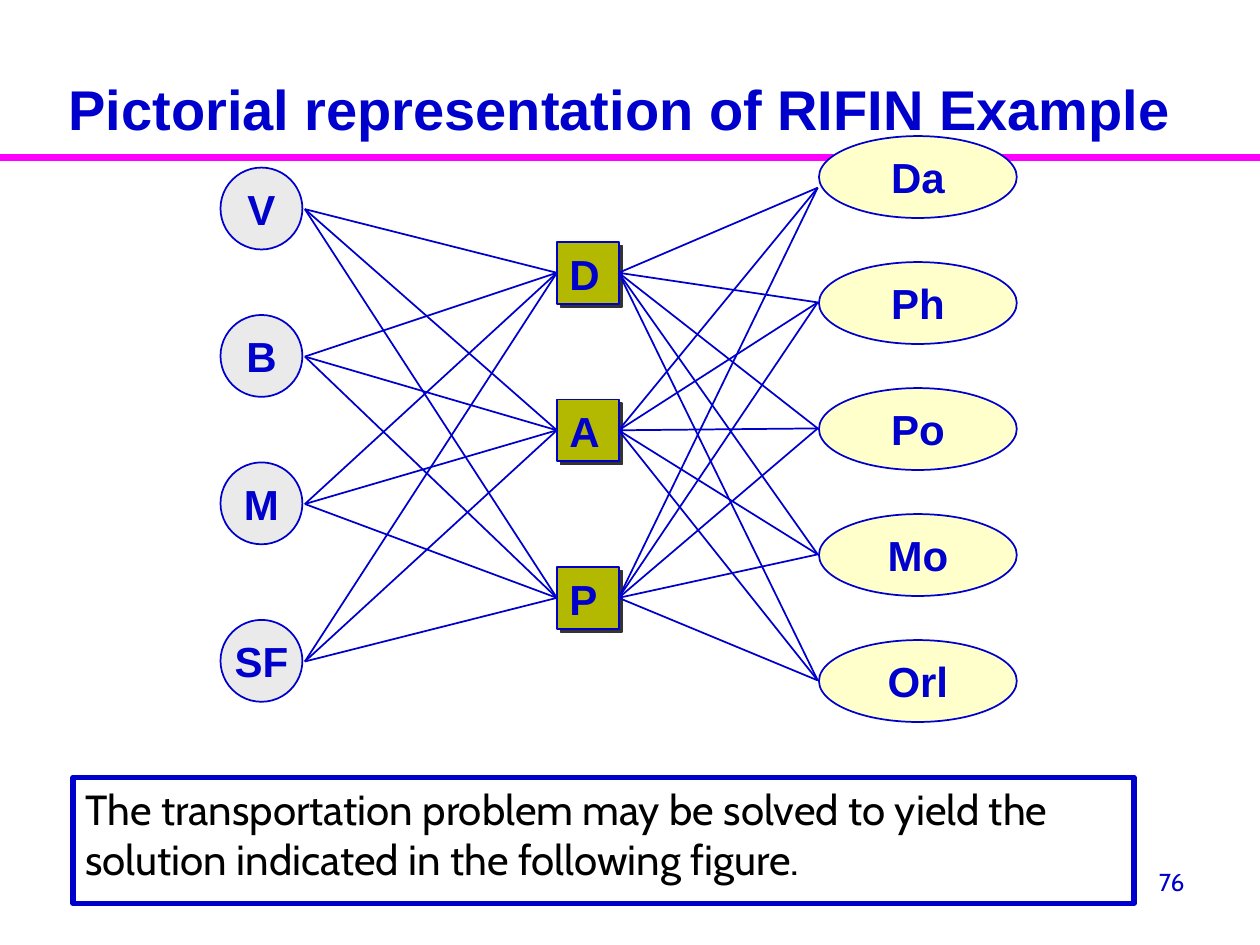
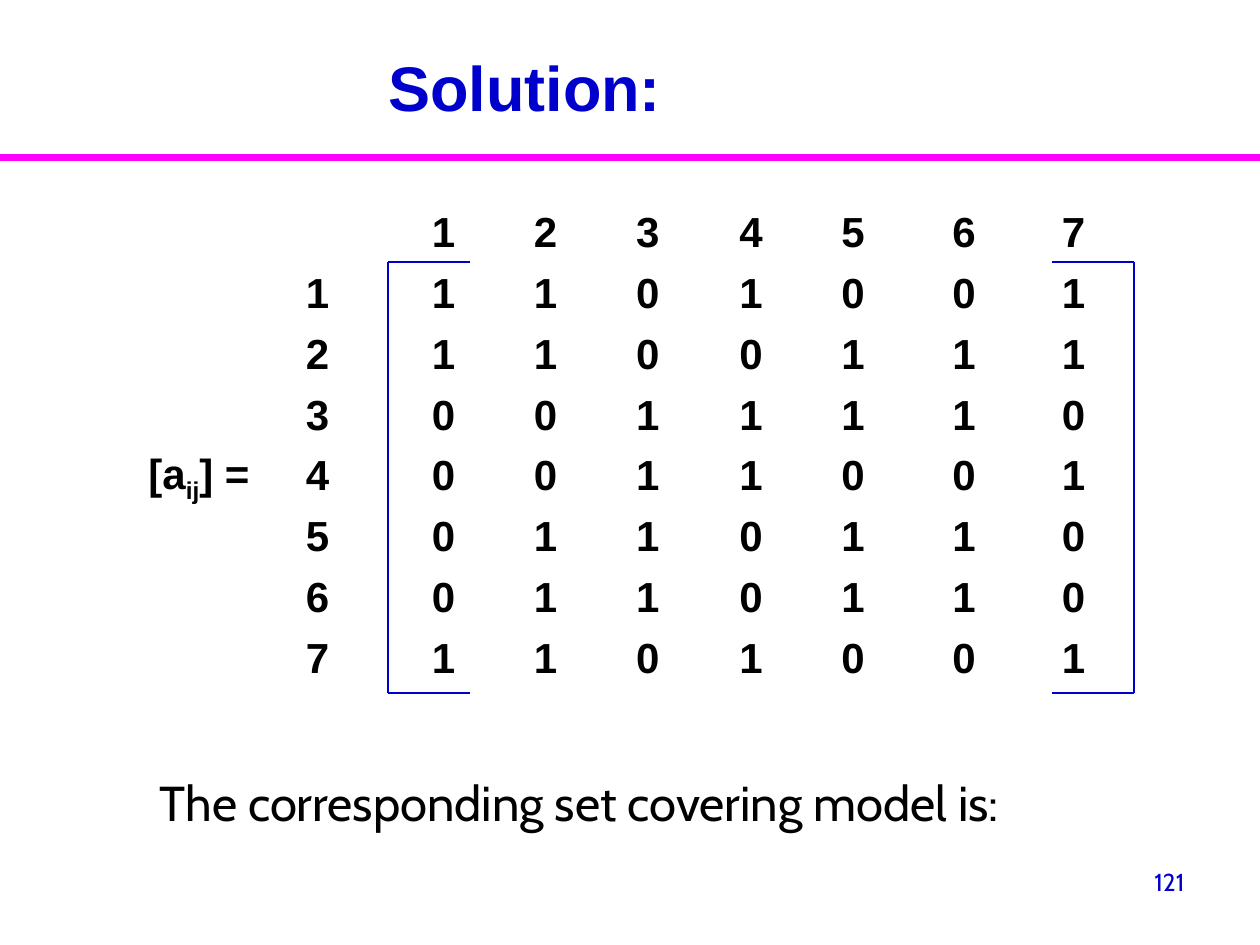
"""Builds two slides: a transportation network and a set covering matrix."""
from lxml.etree import SubElement
from pptx import Presentation
from pptx.dml.color import RGBColor
from pptx.enum.shapes import MSO_CONNECTOR, MSO_SHAPE
from pptx.enum.text import MSO_ANCHOR, PP_ALIGN
from pptx.oxml.ns import qn
from pptx.util import Inches, Pt

BLUE, MAGENTA, BLACK = "0000CC", "FF00FF", "000000"
GREY, OLIVE, CREAM, SHADOW = "EAEAEA", "B3B900", "FFFFCC", "333333"
LABEL = dict(name="Arial", size=24, bold=True, color=BLUE)
ENTRY = dict(LABEL, color=BLACK)
BODY = dict(name="Cabin", size=24, bold=False, color=BLACK)
NUMBER = dict(BODY, size=14, color=BLUE)

PLANTS = [("V", 1.33), ("B", 2.5), ("M", 3.67), ("SF", 4.92)]
DEPOTS = [("D", 1.92), ("A", 3.17), ("P", 4.5)]
MARKETS = [("Da", 1.49), ("Ph", 2.4), ("Po", 3.4), ("Mo", 4.4), ("Orl", 5.4)]
PLANT_LEFT, DEPOT_LEFT, MARKET_LEFT = 1.75, 4.42, 6.5
PLANT_SIZE, DEPOT_SIZE, MARKET_WIDTH = 0.65, 0.49, 1.57
MARKET_TOP, MARKET_STEP = 1.08, 1
NETWORK_NOTE = ("The transportation problem may be solved to yield the "
                "solution indicated in the following figure.")

COVERAGE = ["1101001", "1100111", "0011110", "0011001",
            "0110110", "0110110", "1101001"]
COLUMN_STOPS = [1, 1.81, 2.62, 3.44, 4.25, 5.13, 6]
BRACKET_TOP, BRACKET_BOTTOM, BRACKET_ARM = 2.08, 5.5, 0.65
BRACKETS = [(3.08, 1), (9, -1)]


def rgb(code):
    return RGBColor.from_string(code)


def add_span(para, text, style, baseline=0):
    span = para.add_run()
    span.text = text
    for key, value in style.items():
        if key == "color":
            span.font.color.rgb = rgb(value)
        else:
            setattr(span.font, key, Pt(value) if key == "size" else value)
    if baseline:
        span._r.get_or_add_rPr().set("baseline", str(baseline * 1000))


def write(shape, text, style, align=PP_ALIGN.LEFT, anchor=MSO_ANCHOR.TOP, wrap=True):
    frame = shape.text_frame
    frame.word_wrap = wrap
    frame.vertical_anchor = anchor
    para = frame.paragraphs[0]
    para.alignment = align
    add_span(para, text, style)
    return shape


def add_text(page, at, text, style, **layout):
    box = page.shapes.add_textbox(*map(Inches, at))
    return write(box, text, style, **layout)


def add_node(page, kind, at, fill, text, style, width=1, **layout):
    node = page.shapes.add_shape(kind, *map(Inches, at))
    node.shadow.inherit = False
    if fill:
        node.fill.solid()
        node.fill.fore_color.rgb = rgb(fill)
    else:
        node.fill.background()
    node.line.color.rgb = rgb(BLUE)
    node.line.width = Pt(width)
    return write(node, text, style, **layout)


def add_line(page, start, end, color=BLUE, width=1):
    line = page.shapes.add_connector(MSO_CONNECTOR.STRAIGHT, *map(Inches, start + end))
    line.line.color.rgb = rgb(color)
    line.line.width = Pt(width)
    SubElement(line._element.spPr, qn("a:effectLst"))
    return line


def drop_shadow(shape):
    effects = shape._element.spPr.find(qn("a:effectLst"))
    shadow = SubElement(effects, qn("a:outerShdw"), dist=str(Pt(2.8)),
                        dir=str(45 * 60000), algn="ctr", rotWithShape="0")
    SubElement(shadow, qn("a:srgbClr"), val=SHADOW)


def add_page(deck, title, title_at, title_size, number, anchor=MSO_ANCHOR.MIDDLE):
    page = deck.slides.add_slide(deck.slide_layouts[6])
    add_line(page, (0, 1.25), (10, 1.25), MAGENTA, 4)
    add_text(page, (7.17, 6.83, 2.33, 0.52), number, NUMBER, align=PP_ALIGN.RIGHT)
    heading = add_text(page, title_at, title, dict(LABEL, size=title_size),
                       align=PP_ALIGN.CENTER, anchor=anchor)
    return page, heading


def build_network(deck):
    page, heading = add_page(deck, "Pictorial representation of RIFIN Example",
                             (0.42, 0.21, 9, 0.76), 32, "76", MSO_ANCHOR.TOP)
    heading.text_frame.margin_top = Inches(0.38)
    centred = dict(align=PP_ALIGN.CENTER, anchor=MSO_ANCHOR.MIDDLE, wrap=False)

    for name, top in PLANTS:
        add_node(page, MSO_SHAPE.OVAL, (PLANT_LEFT, top, PLANT_SIZE, PLANT_SIZE),
                 GREY, name, LABEL, **centred)
    for index, (name, _) in enumerate(MARKETS):
        at = (MARKET_LEFT, MARKET_TOP + index * MARKET_STEP, MARKET_WIDTH, PLANT_SIZE)
        add_node(page, MSO_SHAPE.OVAL, at, CREAM, name, LABEL, **centred)

    depots = []
    for name, top in DEPOTS:
        depot = add_node(page, MSO_SHAPE.RECTANGLE,
                         (DEPOT_LEFT, top, DEPOT_SIZE, DEPOT_SIZE), OLIVE, name, LABEL)
        drop_shadow(depot)
        depots.append(depot)

    for depot in depots:
        for _, top in PLANTS:
            route = add_line(page, (2.42, top + 0.33), (DEPOT_LEFT, top))
            route.end_connect(depot, 1)
        for _, arrival in MARKETS:
            route = add_line(page, (DEPOT_LEFT, arrival), (6.49, arrival))
            route.begin_connect(depot, 3)

    add_node(page, MSO_SHAPE.RECTANGLE, (0.58, 6.17, 8.42, 1), None,
             NETWORK_NOTE, BODY, width=3)


def build_matrix(deck):
    page, _ = add_page(deck, "Solution:", (1.12, 0.21, 6.09, 0.95), 36, "121")

    box = page.shapes.add_textbox(*map(Inches, (2.33, 1.58, 7, 4.25)))
    frame = box.text_frame
    frame.word_wrap = True
    header = ["", *range(1, len(COVERAGE) + 1)]
    rows = [header] + [[number, *row] for number, row in enumerate(COVERAGE, 1)]
    for index, row in enumerate(rows):
        para = frame.add_paragraph() if index else frame.paragraphs[0]
        if index:
            para.space_before = Pt(6)
        stops = SubElement(para._p.get_or_add_pPr(), qn("a:tabLst"))
        for stop in COLUMN_STOPS:
            SubElement(stops, qn("a:tab"), pos=str(Inches(stop)), algn="l")
        add_span(para, "\t".join(map(str, row)), ENTRY)

    for side, inward in BRACKETS:
        add_line(page, (side, BRACKET_TOP), (side, BRACKET_BOTTOM))
        for level in (BRACKET_TOP, BRACKET_BOTTOM):
            add_line(page, (side, level), (side + inward * BRACKET_ARM, level))

    symbol = add_text(page, (1.08, 3.5, 1.08, 0.5), "[a", ENTRY)
    para = symbol.text_frame.paragraphs[0]
    add_span(para, "ij", ENTRY, baseline=-25)
    add_span(para, "] =", ENTRY)
    add_text(page, (1.17, 6.08, 7.67, 0.75),
             "The corresponding set covering model is:", dict(BODY, size=28))


def main():
    deck = Presentation()
    deck.slide_width, deck.slide_height = Inches(10), Inches(7.5)
    build_network(deck)
    build_matrix(deck)
    deck.save("out.pptx")


if __name__ == "__main__":
    main()
